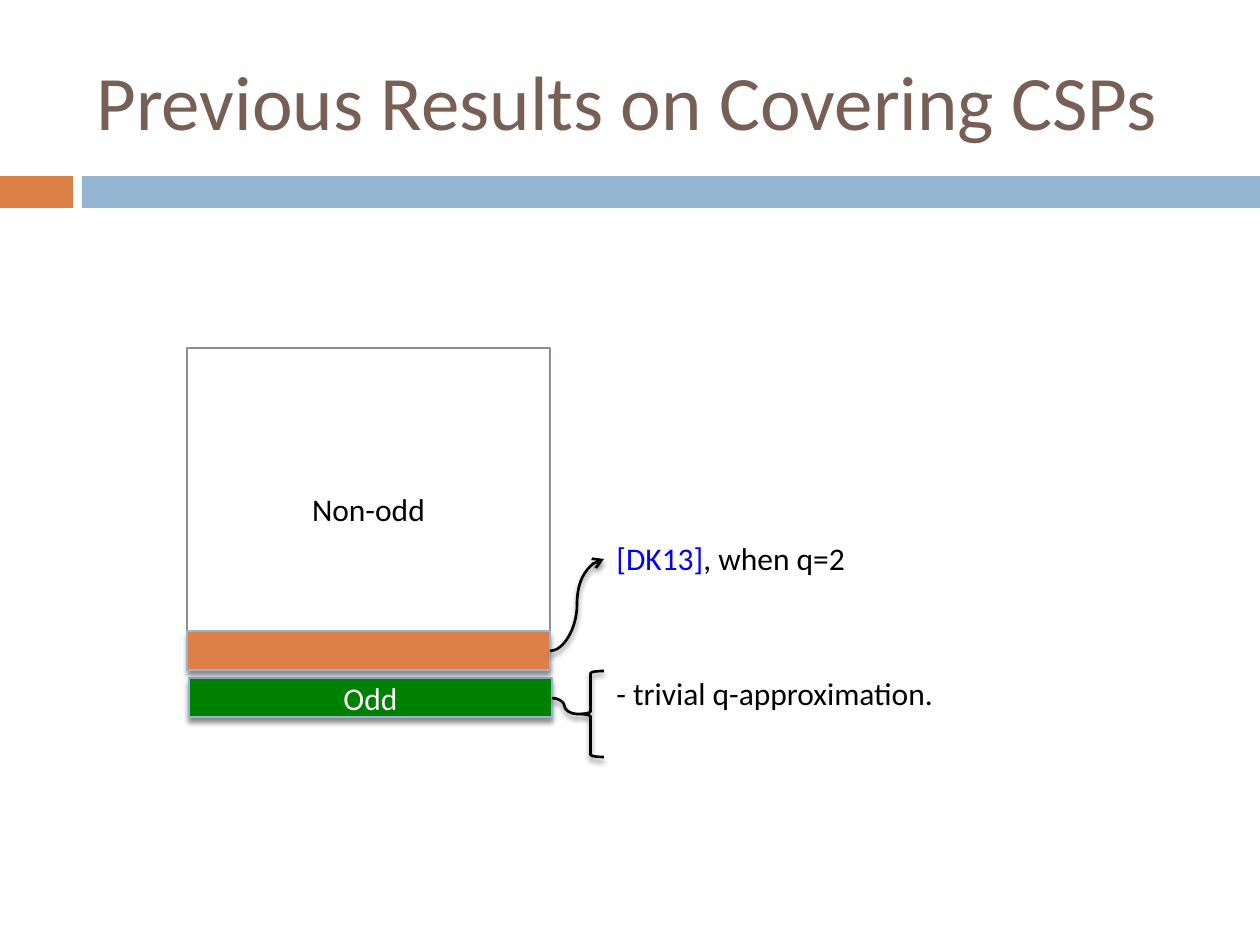
from lxml import etree
from pptx import Presentation
from pptx.dml.color import RGBColor
from pptx.enum.shapes import MSO_CONNECTOR, MSO_SHAPE
from pptx.enum.text import MSO_ANCHOR, PP_ALIGN
from pptx.oxml.ns import qn
from pptx.util import Emu, Pt

EMU_PER_PX = 914400 / 126
FONT = "Calibri"

BLACK = RGBColor(0x00, 0x00, 0x00)
WHITE = RGBColor(0xFF, 0xFF, 0xFF)
ORANGE = RGBColor(0xDD, 0x80, 0x47)
LIGHT_BLUE = RGBColor(0x94, 0xB6, 0xD2)
GREEN = RGBColor(0x00, 0x80, 0x00)
GREY = RGBColor(0x96, 0x8C, 0x8C)
BROWN = RGBColor(0x77, 0x5F, 0x55)
BLUE = RGBColor(0x00, 0x00, 0xFF)

# box in px, fill, (line colour, width in pt), shadow, (text, colour)
RECTANGLES = [
    ((0, 176, 73, 32), ORANGE, None, False, None),
    ((82, 176, 1178, 32), LIGHT_BLUE, None, False, None),
    ((187, 348, 363, 322), WHITE, (GREY, 1.5), False, ("Non-odd", BLACK)),
    ((189, 678, 363, 39), GREEN, (LIGHT_BLUE, 0.79), True, ("Odd", WHITE)),
    ((187, 631, 363, 39), ORANGE, (LIGHT_BLUE, 0.79), True, None),
]

# box in px, size in pt, anchor, runs
TEXTS = [
    ((84, 32, 1124, 136), 44, MSO_ANCHOR.MIDDLE,
     [("Previous Results on Covering CSPs", BROWN)]),
    ((604, 533, 459, 50), 18, MSO_ANCHOR.TOP,
     [("[DK13]", BLUE), (", when q=2", BLACK)]),
    ((604, 668, 474, 50), 18, MSO_ANCHOR.TOP,
     [("- trivial q-approximation.", BLACK)]),
]

BRACE = (577, 671, 27, 86)

# start and end in px, arrowhead
CURVES = [
    ((550, 651, 604, 559), True),
    ((552, 698, 577, 714), False),
]


def px(*lengths):
    return [Emu(round(n * EMU_PER_PX)) for n in lengths]


def add_shadow(sp):
    """Give a shape or connector a soft shadow that falls straight down."""
    sp_pr = sp._element.spPr
    effects = sp_pr.find(qn("a:effectLst"))
    if effects is None:
        effects = etree.SubElement(sp_pr, qn("a:effectLst"))
    shadow = etree.SubElement(effects, qn("a:outerShdw"), blurRad="38100",
                              dist="30480", dir="5400000", rotWithShape="0")
    color = etree.SubElement(shadow, qn("a:srgbClr"), val=str(BLACK))
    etree.SubElement(color, qn("a:alpha"), val="45000")


def set_line(line, color, width):
    line.color.rgb = color
    line.width = Pt(width)


def write(tf, runs, size, anchor, align):
    tf.word_wrap = True
    tf.vertical_anchor = anchor
    p = tf.paragraphs[0]
    p.alignment = align
    p.font.name = FONT
    p.font.size = Pt(size)
    for text, color in runs:
        r = p.add_run()
        r.text = text
        r.font.color.rgb = color


def add_rectangle(shapes, box, fill, line, shadow, label):
    sp = shapes.add_shape(MSO_SHAPE.RECTANGLE, *px(*box))
    sp.shadow.inherit = False
    sp.fill.solid()
    sp.fill.fore_color.rgb = fill
    if line:
        set_line(sp.line, *line)
    else:
        sp.line.fill.background()
    if shadow:
        add_shadow(sp)
    if label:
        write(sp.text_frame, [label], 18, MSO_ANCHOR.MIDDLE, PP_ALIGN.CENTER)


def add_brace(shapes):
    sp = shapes.add_shape(MSO_SHAPE.LEFT_BRACE, *px(*BRACE))
    sp.shadow.inherit = False
    sp.fill.background()
    set_line(sp.line, BLACK, 1.5)
    add_shadow(sp)


def add_curve(shapes, ends, arrow):
    curve = shapes.add_connector(MSO_CONNECTOR.CURVE, *px(*ends))
    set_line(curve.line, BLACK, 1.5)
    if arrow:
        etree.SubElement(curve.line._get_or_add_ln(), qn("a:tailEnd"), type="arrow")
    add_shadow(curve)


def main():
    prs = Presentation()
    prs.slide_width, prs.slide_height = px(1260, 945)
    shapes = prs.slides.add_slide(prs.slide_layouts[6]).shapes

    for rectangle in RECTANGLES:
        add_rectangle(shapes, *rectangle)
    for box, size, anchor, runs in TEXTS:
        tf = shapes.add_textbox(*px(*box)).text_frame
        write(tf, runs, size, anchor, PP_ALIGN.LEFT)
    add_brace(shapes)
    for ends, arrow in CURVES:
        add_curve(shapes, ends, arrow)

    prs.save("out.pptx")


if __name__ == "__main__":
    main()
